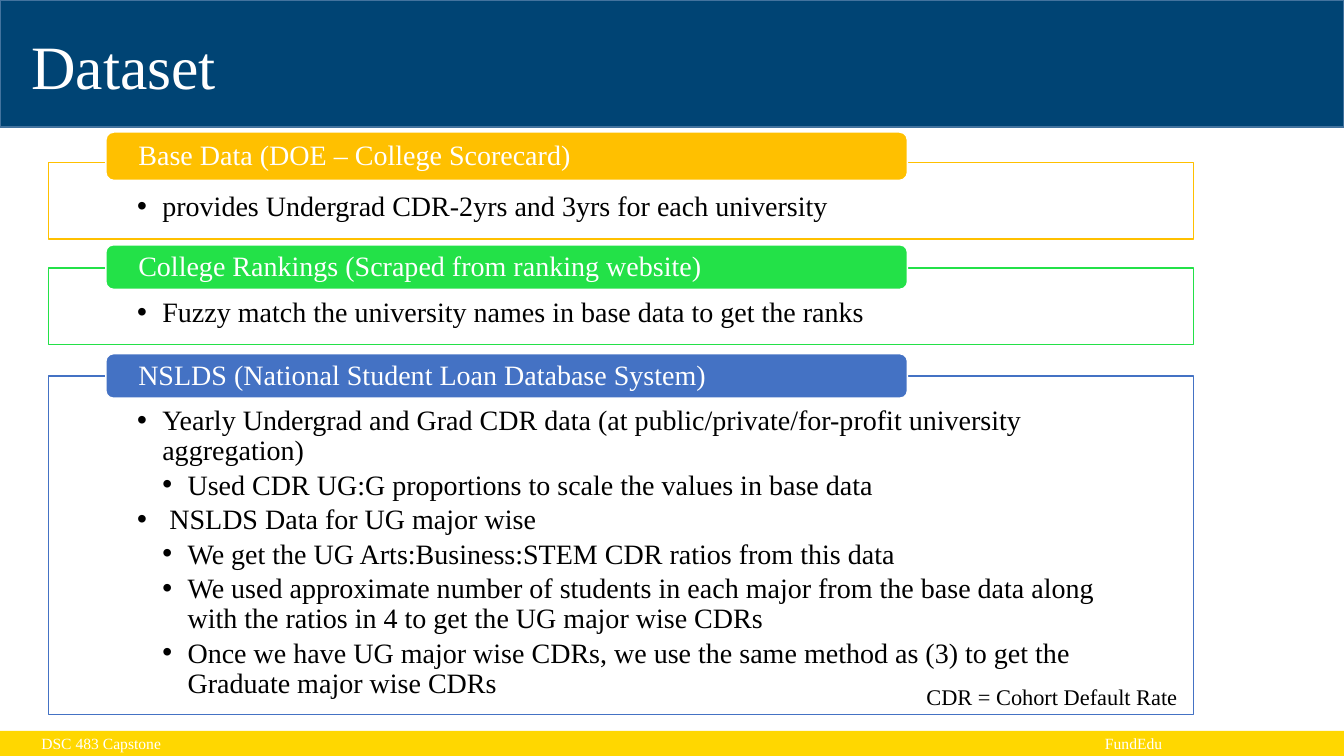
from dataclasses import dataclass

from lxml.etree import SubElement
from pptx import Presentation
from pptx.dml.color import RGBColor
from pptx.enum.shapes import MSO_SHAPE
from pptx.enum.text import MSO_ANCHOR, MSO_AUTO_SIZE, PP_ALIGN
from pptx.oxml.ns import qn
from pptx.util import Inches, Pt

# Content
TITLE = "Dataset"
FOOTER = "DSC 483 Capstone\tFundEdu"
FOOTNOTE = "CDR = Cohort Default Rate"
SOURCES = [
    {"heading": "Base Data (DOE – College Scorecard)", "color": "FFC000",
     "tab": (1.31, 0.48), "panel": (1.61, 0.76),
     "points": [(0, "provides Undergrad CDR-2yrs and 3yrs for each university")]},
    {"heading": "College Rankings (Scraped from ranking website)", "color": "23E148",
     "tab": (2.43, 0.44), "panel": (2.66, 0.76),
     "points": [(0, "Fuzzy match the university names in base data to get the ranks")]},
    {"heading": "NSLDS (National Student Loan Database System)", "color": "4472C4",
     "tab": (3.51, 0.44), "panel": (3.73, 3.36),
     "points": [
         (0, "Yearly Undergrad and Grad CDR data (at public/private/for-profit "
             "university aggregation)"),
         (1, "Used CDR UG:G proportions to scale the values in base data"),
         (0, " NSLDS Data for UG major wise"),
         (1, "We get the UG Arts:Business:STEM CDR ratios from this data"),
         (1, "We used approximate number of students in each major from the base "
             "data along with the ratios in 4 to get the UG major wise CDRs"),
         (1, "Once we have UG major wise CDRs, we use the same method as (3) to get "
             "the Graduate major wise CDRs")]},
]


@dataclass(frozen=True)
class Theme:
    font: str = "Times New Roman"
    white: str = "FFFFFF"
    black: str = "000000"
    navy: str = "004474"
    navy_edge: str = "43739E"
    gold: str = "FFD700"
    title_size: float = 44
    body_size: float = 20
    note_size: float = 16
    footer_size: float = 11.1


THEME = Theme()
WIDTH, HEIGHT = 13.33, 7.5
FOOTER_HEIGHT = 0.25
PANEL_LEFT, PANEL_WIDTH = 0.48, 11.36
TAB_LEFT, TAB_WIDTH = 1.05, 7.95
INDENT = 0.25


def place(shape, left, top, width, height):
    shape.left, shape.top = Inches(left), Inches(top)
    shape.width, shape.height = Inches(width), Inches(height)


def paint(shape, fill, line=None):
    shape.fill.solid()
    shape.fill.fore_color.rgb = RGBColor.from_string(fill)
    if line:
        shape.line.color.rgb = RGBColor.from_string(line)
        shape.line.width = Pt(1)
    else:
        shape.line.fill.background()


def add_box(kind, box, fill, line=None):
    shape = slide.shapes.add_shape(kind, *map(Inches, box))
    shape.shadow.inherit = False
    paint(shape, fill, line)
    return shape


def set_frame(frame, anchor, left=0, top=0, right=0, bottom=0):
    frame.word_wrap = True
    frame.auto_size = MSO_AUTO_SIZE.NONE
    frame.vertical_anchor = anchor
    frame.margin_left, frame.margin_right = Inches(left), Inches(right)
    frame.margin_top, frame.margin_bottom = Inches(top), Inches(bottom)


def style(paragraph, size, color, spacing=1.0):
    paragraph.alignment = PP_ALIGN.LEFT
    paragraph.line_spacing = spacing
    paragraph.space_before = Pt(0)
    for run in paragraph.runs:
        run.font.name = THEME.font
        run.font.size = Pt(size)
        run.font.bold = False
        run.font.color.rgb = RGBColor.from_string(color)


def add_bullet(paragraph):
    properties = paragraph._p.get_or_add_pPr()
    properties.set("marL", str(Inches(INDENT * (paragraph.level + 1))))
    properties.set("indent", str(-Inches(INDENT)))
    SubElement(properties, qn("a:buFont"), typeface="Arial")
    SubElement(properties, qn("a:buChar"), char="•")


presentation = Presentation()
presentation.slide_width, presentation.slide_height = Inches(WIDTH), Inches(HEIGHT)
slide = presentation.slides.add_slide(presentation.slide_layouts[4])
title, *bodies, spare = slide.placeholders
spare._element.getparent().remove(spare._element)

# Footer band, with the second name at a tab stop
footer = add_box(MSO_SHAPE.RECTANGLE,
                 (0, HEIGHT - FOOTER_HEIGHT, WIDTH, FOOTER_HEIGHT), THEME.gold)
set_frame(footer.text_frame, MSO_ANCHOR.MIDDLE, left=0.41)
footer.text_frame.text = FOOTER
footer_line = footer.text_frame.paragraphs[0]
style(footer_line, THEME.footer_size, THEME.white)
tab_stops = SubElement(footer_line._p.get_or_add_pPr(), qn("a:tabLst"))
SubElement(tab_stops, qn("a:tab"), pos=str(Inches(10.55)), algn="l")

# Banner and title, the title in front
add_box(MSO_SHAPE.RECTANGLE, (0, 0, WIDTH, 1.26), THEME.navy, THEME.navy_edge)
slide.shapes._spTree.append(title._element)
place(title, 0.31, 0.25, 11.51, 0.76)
set_frame(title.text_frame, MSO_ANCHOR.BOTTOM, top=0.02)
title.text_frame.text = TITLE
style(title.text_frame.paragraphs[0], THEME.title_size, THEME.white)

# One outlined list with a heading tab for each data source
for source, body in zip(SOURCES, bodies):
    panel_top, panel_height = source["panel"]
    place(body, PANEL_LEFT, panel_top, PANEL_WIDTH, panel_height)
    paint(body, THEME.white, source["color"])
    set_frame(body.text_frame, MSO_ANCHOR.TOP, 0.88, 0.3, 0.88, 0.16)
    body.text_frame.text = "\n".join(text for _, text in source["points"])
    for point, (level, _) in zip(body.text_frame.paragraphs, source["points"]):
        point.level = level
        style(point, THEME.body_size, THEME.black, 0.9)
        point.space_after = Pt(3)
        add_bullet(point)

    tab_top, tab_height = source["tab"]
    heading = add_box(MSO_SHAPE.ROUNDED_RECTANGLE,
                      (TAB_LEFT, tab_top, TAB_WIDTH, tab_height),
                      source["color"], THEME.white)
    set_frame(heading.text_frame, MSO_ANCHOR.MIDDLE, left=0.3, right=0.3)
    heading.text_frame.text = source["heading"]
    style(heading.text_frame.paragraphs[0], THEME.body_size, THEME.white, 0.9)

# Footnote
footnote = slide.shapes.add_textbox(*map(Inches, (9.09, 6.73, 3.11, 0.37)))
set_frame(footnote.text_frame, MSO_ANCHOR.TOP, 0.1, 0.05, 0.1, 0.05)
footnote.text_frame.text = FOOTNOTE
style(footnote.text_frame.paragraphs[0], THEME.note_size, THEME.black)

presentation.save("out.pptx")
